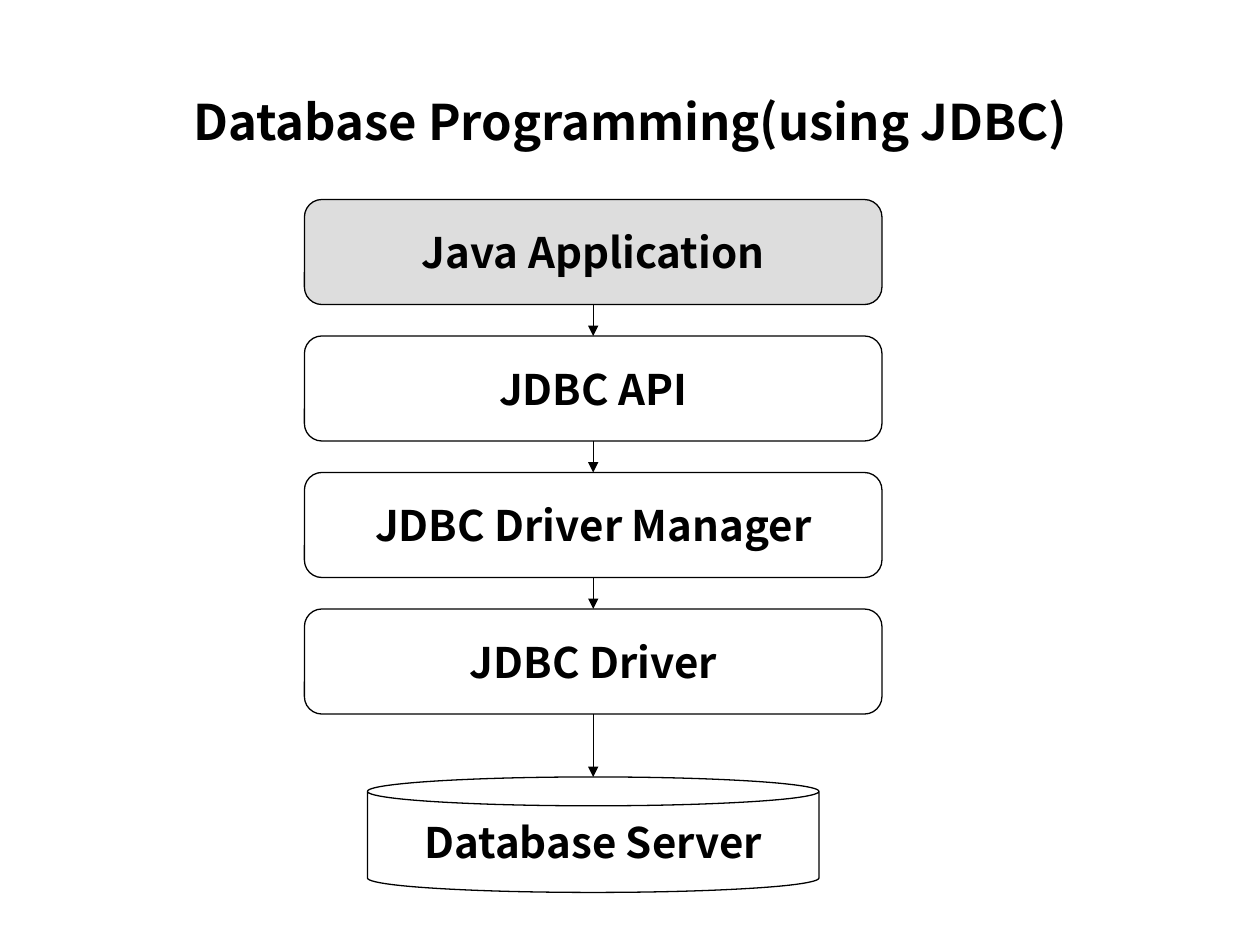
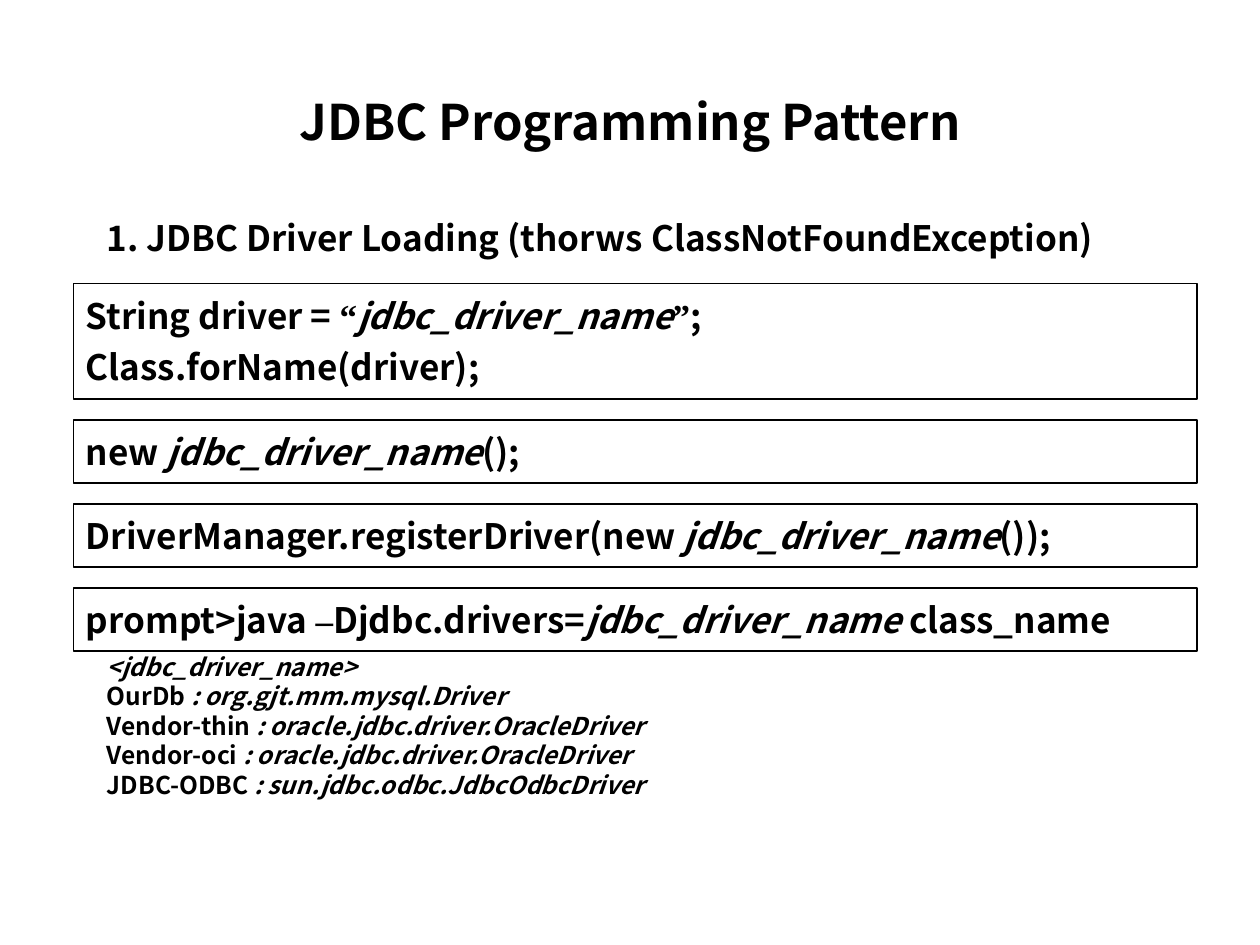
from itertools import groupby

from lxml import etree
from pptx import Presentation
from pptx.dml.color import RGBColor
from pptx.enum import shapes, text
from pptx.oxml import ns
from pptx.util import Pt

BLACK = RGBColor(0x00, 0x00, 0x00)
GREY = RGBColor(0xDD, 0xDD, 0xDD)
SANS, SERIF = "Noto Sans CJK KR", "Times New Roman"
SERIF_MARKS = "“”–"
LEFT, CENTER = text.PP_ALIGN.LEFT, text.PP_ALIGN.CENTER
TITLE_ONLY = 5


class Slides:
    """Holds the shared style and the current page."""

    def __init__(self):
        self.deck = Presentation()
        self.deck.slide_width, self.deck.slide_height = Pt(720), Pt(540)
        self.page = None

    def new_page(self, title):
        self.page = self.deck.slides.add_slide(self.deck.slide_layouts[TITLE_ONLY])
        box = self.page.shapes.title
        box.left, box.top, box.width, box.height = Pt(54), Pt(48), Pt(612), Pt(42)
        self.set_lines(box, [title], 28, CENTER)

    def set_lines(self, box, lines, size, align=LEFT, before=0, spacing=1.0,
                  anchor=text.MSO_ANCHOR.MIDDLE):
        """Fill a box with lines; *stars* mark italic spans."""
        frame = box.text_frame
        frame.word_wrap = True
        frame.auto_size = text.MSO_AUTO_SIZE.NONE
        frame.vertical_anchor = anchor
        for number, line in enumerate(lines):
            para = frame.add_paragraph() if number else frame.paragraphs[0]
            para.alignment = align
            para.space_before, para.line_spacing = Pt(before), spacing
            for part_number, part in enumerate(line.split("*")):
                for serif, marks in groupby(part, lambda mark: mark in SERIF_MARKS):
                    span = para.add_run()
                    span.text = "".join(marks)
                    span.font.name = SERIF if serif else SANS
                    span.font.italic = part_number % 2 == 1
            for font in (para.font, *(span.font for span in para.runs)):
                font.size, font.bold = Pt(size), True
                font.color.rgb = BLACK

    def panel(self, kind, left, top, width, height, lines, size, fill=None, **style):
        box = self.page.shapes.add_shape(kind, Pt(left), Pt(top), Pt(width), Pt(height))
        box.shadow.inherit = False
        box.line.color.rgb, box.line.width = BLACK, Pt(0.75)
        if fill is None:
            box.fill.background()
        else:
            box.fill.solid()
            box.fill.fore_color.rgb = fill
        self.set_lines(box, lines, size, **style)

    def label(self, left, top, width, height, lines, size, **style):
        box = self.page.shapes.add_textbox(Pt(left), Pt(top), Pt(width), Pt(height))
        self.set_lines(box, lines, size, anchor=text.MSO_ANCHOR.TOP, **style)

    def down_arrow(self, x, top, bottom):
        arrow = self.page.shapes.add_connector(
            shapes.MSO_CONNECTOR.STRAIGHT, Pt(x), Pt(top), Pt(x), Pt(bottom))
        arrow.line.color.rgb, arrow.line.width = BLACK, Pt(0.75)
        properties = arrow._element.spPr
        line = properties.find(ns.qn("a:ln"))
        etree.SubElement(line, ns.qn("a:tailEnd"), type="triangle")
        etree.SubElement(properties, ns.qn("a:effectLst"))


def build_layers(slides):
    slides.new_page("Database Programming(using JDBC)")

    # Software layers, each with an arrow to the next
    layers = ["Java Application", "JDBC API", "JDBC Driver Manager", "JDBC Driver"]
    left, width, height, gap, middle = 174, 330, 60, 18, 339
    server_top = 444
    tops = [114 + number * (height + gap) for number in range(len(layers))]
    for number, (name, top) in enumerate(zip(layers, tops)):
        slides.panel(shapes.MSO_SHAPE.ROUNDED_RECTANGLE, left, top, width, height,
                     [name], 24, fill=None if number else GREY, align=CENTER)

    # Server at the bottom
    slides.panel(shapes.MSO_SHAPE.CAN, middle - 129, server_top, 258, 66,
                 ["Database Server"], 24, align=CENTER)
    for top, next_top in zip(tops, tops[1:] + [server_top]):
        slides.down_arrow(middle, top + height, next_top)


def build_loading(slides):
    slides.new_page("JDBC Programming Pattern")
    slides.label(54, 108, 612, 48,
                 ["1. JDBC Driver Loading (thorws ClassNotFoundException)"],
                 20, before=5, spacing=1.5)

    # Alternative ways to load the driver
    snippets = [
        ["String driver = “*jdbc_driver_name*”;", "Class.forName(driver);"],
        ["new *jdbc_driver_name*();"],
        ["DriverManager.registerDriver(new *jdbc_driver_name*());"],
        ["prompt>java –Djdbc.drivers=*jdbc_driver_name* class_name"],
    ]
    top = 162
    for lines in snippets:
        height = 6 + 30 * len(lines)
        slides.panel(shapes.MSO_SHAPE.RECTANGLE, 42, top, 642, height, lines, 20, before=5)
        top += height + 12

    # Driver class names
    slides.label(54, 372, 612, 96, [
        "*<jdbc_driver_name>*",
        "OurDb *: org.gjt.mm.mysql.Driver*",
        "Vendor-thin* : oracle.jdbc.driver.OracleDriver*",
        "Vendor-oci* : oracle.jdbc.driver.OracleDriver*",
        "JDBC-ODBC* : sun.jdbc.odbc.JdbcOdbcDriver*",
    ], 14, before=3.5, spacing=0.8)


def main():
    slides = Slides()
    build_layers(slides)
    build_loading(slides)
    slides.deck.save("out.pptx")


if __name__ == "__main__":
    main()
